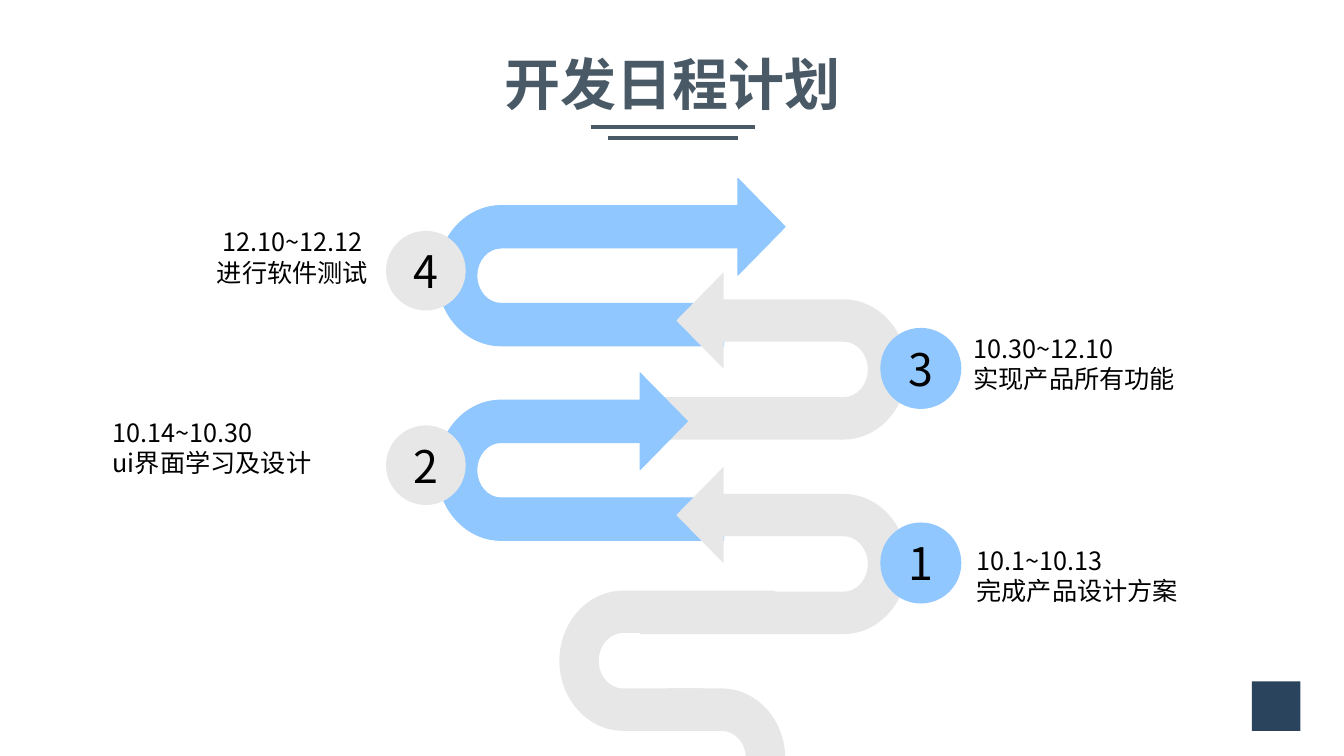
"""Build the development schedule slide with a winding four-step road."""
from lxml import etree
from pptx import Presentation
from pptx.dml.color import RGBColor
from pptx.enum.shapes import MSO_CONNECTOR, MSO_SHAPE
from pptx.enum.text import MSO_ANCHOR, MSO_AUTO_SIZE, PP_ALIGN
from pptx.oxml.ns import qn
from pptx.util import Inches, Pt

STRAIGHT = MSO_CONNECTOR.STRAIGHT
RECTANGLE, OVAL = MSO_SHAPE.RECTANGLE, MSO_SHAPE.OVAL
LEFT, CENTER, RIGHT = PP_ALIGN.LEFT, PP_ALIGN.CENTER, PP_ALIGN.RIGHT
MIDDLE = MSO_ANCHOR.MIDDLE
NO_FIT, GROW = MSO_AUTO_SIZE.NONE, MSO_AUTO_SIZE.SHAPE_TO_FIT_TEXT

FONT = "Noto Sans CJK SC"
SLATE, NAVY, BLUE, GREY, BLACK = "495A66", "2A445D", "90C7FF", "E7E7E7", "000000"

TITLE = "开发日程计划"
RULES = [(5.86, 7.49, 1.26), (6.03, 7.32, 1.37)]
MILESTONES = [
    dict(number="4", side=-1, top=2.04, arrow=7.32, tail=7.18, align=RIGHT,
         text_at=(1.02, 2.2), lines=["12.10~12.12 ", "进行软件测试"]),
    dict(number="3", side=1, top=2.97, arrow=7.18, tail=6.35, align=LEFT,
         text_at=(9.56, 3.26), lines=["10.30~12.10", "实现产品所有功能"]),
    dict(number="2", side=-1, top=3.97, arrow=6.35, tail=7.18, align=LEFT,
         text_at=(1.02, 4.09), lines=["10.14~10.30", "ui界面学习及设计"]),
    dict(number="1", side=1, top=4.9, arrow=7.18, tail=6.35, align=LEFT,
         text_at=(9.59, 5.36), lines=["10.1~10.13", "完成产品设计方案"]),
]
STYLES = {
    -1: dict(road=BLUE, circle=GREY, center=4.97, circle_left=3.83, drop=0.25),
    1: dict(road=GREY, circle=BLUE, center=8.37, circle_left=8.74, drop=0.29),
}

BEND_HEIGHT, ROAD_WIDTH = 1.39, 0.42
OUTER, INNER = (0.63, BEND_HEIGHT / 2), (0.24, BEND_HEIGHT / 2 - ROAD_WIDTH)
HEAD_LENGTH, HEAD_HALF, OVERLAP = 0.47, 0.48, 0.14
CIRCLE_SIZE = 0.79
TEXT_SIZE = (2.73, 0.71)
ROUNDNESS = 0.55
UP, DOWN, EAST = (0, -1), (0, 1), (1, 0)

presentation = Presentation()
presentation.slide_width, presentation.slide_height = Inches(40 / 3), Inches(7.5)
slide = presentation.slides.add_slide(presentation.slide_layouts[5])


def color(value):
    return RGBColor.from_string(value)


def paint(shape, fill, line_width=0):
    shape.shadow.inherit = False
    shape.fill.solid()
    shape.fill.fore_color.rgb = color(fill)
    if line_width:
        shape.line.color.rgb = color(fill)
        shape.line.width = Pt(line_width)
    else:
        shape.line.fill.background()


def write(frame, lines, size, ink, align, bold=False):
    for index, line in enumerate(lines):
        paragraph = frame.add_paragraph() if index else frame.paragraphs[0]
        paragraph.alignment = align
        run = paragraph.add_run()
        run.text = line
        font = run.font
        font.name, font.size, font.bold = FONT, Pt(size), bold
        font.color.rgb = color(ink)
        east_asian = etree.SubElement(run._r.get_or_add_rPr(), qn("a:ea"))
        east_asian.set("typeface", FONT)


def quarter(center, radii, start, end):
    weights = [(1, ROUNDNESS), (ROUNDNESS, 1), (0, 1)]
    return [tuple(center[axis] + radii[axis] * (near * start[axis] + far * end[axis])
                  for axis in (0, 1)) for near, far in weights]


def outline(start, steps, fill):
    corners = [(Inches(x), Inches(y)) for step in steps for x, y in step]
    builder = slide.shapes.build_freeform(Inches(start[0]), Inches(start[1]))
    builder.add_line_segments(corners)
    shape = builder.convert_to_shape()
    segments = iter(list(shape._element.iter(qn("a:lnTo"))))
    for step in steps:
        group = [next(segments) for _ in step]
        if len(group) == 3:
            curve = etree.Element(qn("a:cubicBezTo"))
            group[0].addprevious(curve)
            for segment in group:
                curve.append(segment[0])
                segment.getparent().remove(segment)
    paint(shape, fill, 0.75 if fill == BLUE else 0)


def bend(side, center_x, top, top_end, bottom_end, fill):
    center = (center_x, top + BEND_HEIGHT / 2)
    bottom = top + BEND_HEIGHT
    across = (side, 0)
    outline((bottom_end, bottom), [
        [(center_x, bottom)],
        quarter(center, OUTER, DOWN, across),
        quarter(center, OUTER, across, UP),
        [(top_end, top)],
        [(top_end, top + ROAD_WIDTH)],
        [(center_x, top + ROAD_WIDTH)],
        quarter(center, INNER, UP, across),
        quarter(center, INNER, across, DOWN),
        [(bottom_end, bottom - ROAD_WIDTH)],
    ], fill)


def arrowhead(base, middle, direction, fill):
    outline((base, middle - HEAD_HALF), [
        [(base + direction * HEAD_LENGTH, middle)],
        [(base, middle + HEAD_HALF)],
    ], fill)


def road_entry():
    center = (7.16, 7.52)
    outline((6.63, 6.83), [
        [(7.16, 6.83)],
        quarter(center, (0.63, 0.69), UP, EAST),
        [(7.4, 7.52)],
        quarter(center, (0.24, 0.27), EAST, UP),
        [(6.66, 7.25)],
    ], GREY)


def add_header():
    corner = slide.shapes.add_shape(
        RECTANGLE, Inches(12.42), Inches(6.76), Inches(0.48), Inches(0.49))
    paint(corner, NAVY)
    title = slide.shapes.title
    title.left, title.top = Inches(0.92), Inches(0.48)
    title.width, title.height = Inches(11.5), Inches(0.78)
    frame = title.text_frame
    frame.auto_size, frame.vertical_anchor = NO_FIT, MIDDLE
    frame.margin_left = frame.margin_right = Inches(0.04)
    write(frame, [TITLE], 40, SLATE, CENTER, True)
    frame.paragraphs[0].line_spacing = 0.9
    for start, end, height in RULES:
        rule = slide.shapes.add_connector(
            STRAIGHT, Inches(start), Inches(height), Inches(end), Inches(height))
        rule.line.color.rgb = color(SLATE)
        rule.line.width = Pt(2.25)
        etree.SubElement(rule._element.spPr, qn("a:effectLst"))


def add_road(milestone):
    side, top, arrow = milestone["side"], milestone["top"], milestone["arrow"]
    style = STYLES[side]
    bend(side, style["center"], top, arrow - side * OVERLAP,
         milestone["tail"], style["road"])
    arrowhead(arrow, top + ROAD_WIDTH / 2, -side, style["road"])


def add_label(milestone):
    style = STYLES[milestone["side"]]
    circle = slide.shapes.add_shape(
        OVAL, Inches(style["circle_left"]), Inches(milestone["top"] + style["drop"]),
        Inches(CIRCLE_SIZE), Inches(CIRCLE_SIZE))
    paint(circle, style["circle"], 1 if style["circle"] == BLUE else 0)
    circle.text_frame.vertical_anchor = MIDDLE
    write(circle.text_frame, [milestone["number"]], 32, BLACK, CENTER)
    box = slide.shapes.add_textbox(
        *[Inches(length) for length in milestone["text_at"] + TEXT_SIZE])
    box.text_frame.word_wrap = True
    box.text_frame.auto_size = GROW
    write(box.text_frame, milestone["lines"], 18, BLACK, milestone["align"])


def main():
    add_header()
    for milestone in MILESTONES:
        add_road(milestone)
    bend(-1, 6.18, 5.86, 7.69, 6.98, GREY)
    road_entry()
    for milestone in MILESTONES:
        add_label(milestone)
    presentation.save("out.pptx")


if __name__ == "__main__":
    main()
